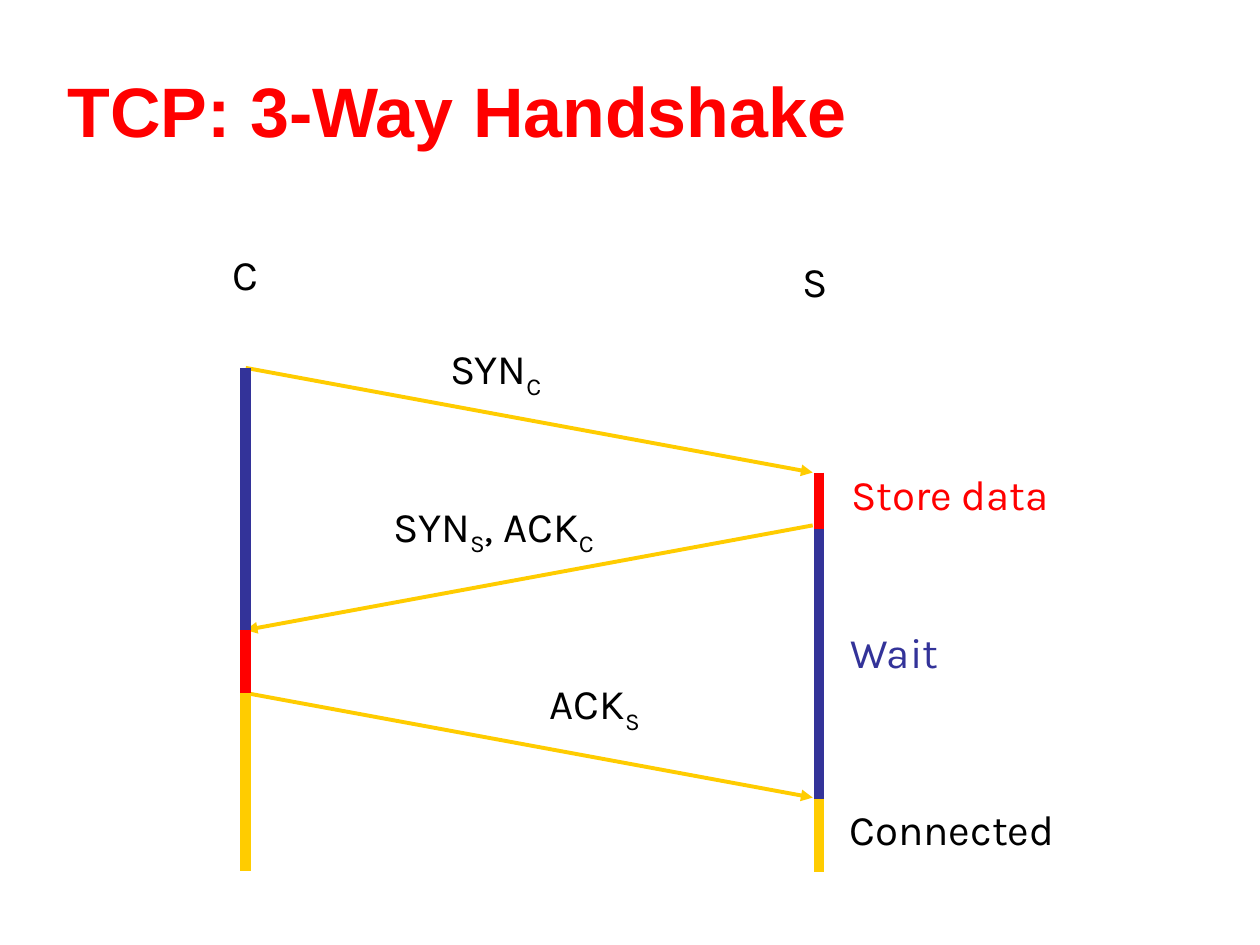
from dataclasses import dataclass

from lxml import etree
from pptx import Presentation
from pptx.dml.color import RGBColor
from pptx.enum.shapes import MSO_CONNECTOR, MSO_SHAPE
from pptx.enum.text import MSO_ANCHOR, MSO_AUTO_SIZE, PP_ALIGN
from pptx.oxml.ns import qn
from pptx.util import Inches, Pt

STRAIGHT = MSO_CONNECTOR.STRAIGHT
ROUNDED = MSO_SHAPE.ROUNDED_RECTANGLE
GROW = MSO_AUTO_SIZE.SHAPE_TO_FIT_TEXT
TOP, BOTTOM = MSO_ANCHOR.TOP, MSO_ANCHOR.BOTTOM
CENTER = PP_ALIGN.CENTER

RED = RGBColor(0xFF, 0x00, 0x00)
BLUE = RGBColor(0x33, 0x33, 0x99)
GOLD = RGBColor(0xFF, 0xCC, 0x00)
BLACK = RGBColor(0x00, 0x00, 0x00)

CLIENT_X, SERVER_X = 1.95, 6.5
ARROW_SERVER_X = 6.45


@dataclass(frozen=True)
class Line:
    x1: float
    y1: float
    x2: float
    y2: float
    color: RGBColor = GOLD
    width: float = 2.25
    arrow: bool = True


@dataclass(frozen=True)
class Label:
    """Text spans alternate between normal and subscript."""
    left: float
    top: float
    width: float
    height: float
    spans: tuple[str, ...]
    color: RGBColor = BLACK


def phase(x: float, start: float, end: float, color: RGBColor) -> Line:
    """One stage of a vertical timeline."""
    return Line(x, start, x, end, color, 6, False)


MESSAGES = [
    Line(CLIENT_X, 2.92, ARROW_SERVER_X, 3.75),
    Line(CLIENT_X, 5.5, ARROW_SERVER_X, 6.33),
    Line(ARROW_SERVER_X, 4.17, CLIENT_X, 5),
]

PHASES = [
    phase(SERVER_X, 4.17, 6.34, BLUE),
    phase(SERVER_X, 6.34, 6.92, GOLD),
    phase(CLIENT_X, 2.92, 5, BLUE),
    phase(CLIENT_X, 5.5, 6.91, GOLD),
    phase(CLIENT_X, 5, 5.5, RED),
    phase(SERVER_X, 3.75, 4.2, RED),
]

LABELS = [
    Label(1.75, 1.92, 0.39, 0.49, ("C",)),
    Label(6.27, 1.98, 0.36, 0.49, ("S",)),
    Label(3.47, 2.67, 0.93, 0.55, ("SYN", "C")),
    Label(3, 3.92, 1.84, 0.55, ("SYN", "S", ", ACK", "C")),
    Label(4.26, 5.33, 0.92, 0.55, ("ACK", "S")),
    Label(6.64, 3.67, 1.8, 0.49, ("Store data",), RED),
    Label(6.65, 4.92, 0.9, 0.49, ("Wait",), BLUE),
    Label(6.62, 6.33, 1.87, 0.49, ("Connected",)),
]


def draw_line(page, line: Line) -> None:
    connector = page.shapes.add_connector(
        STRAIGHT, Inches(line.x1), Inches(line.y1), Inches(line.x2), Inches(line.y2))
    connector.line.color.rgb = line.color
    connector.line.width = Pt(line.width)
    if line.arrow:
        outline = connector.line._get_or_add_ln()
        etree.SubElement(outline, qn("a:tailEnd"), type="triangle")
    etree.SubElement(connector._element.spPr, qn("a:effectLst"))


def draw_title(page, text: str) -> None:
    box = page.shapes.add_textbox(Inches(0.44), Inches(0.25), Inches(8.5), Inches(1))
    frame = box.text_frame
    frame.text = text
    frame.word_wrap = True
    frame.vertical_anchor = BOTTOM
    font = frame.paragraphs[0].runs[0].font
    font.name, font.size, font.bold = "Arial", Pt(40), True
    font.color.rgb = RED


def draw_label(page, label: Label) -> None:
    box = page.shapes.add_shape(ROUNDED, Inches(label.left), Inches(label.top),
                                Inches(label.width), Inches(label.height))
    box.adjustments[0] = 0
    box.shadow.inherit = False
    box.fill.background()
    box.line.fill.background()
    frame = box.text_frame
    frame.word_wrap = False
    frame.auto_size = GROW
    frame.vertical_anchor = TOP
    para = frame.paragraphs[0]
    para.alignment = CENTER
    for index, text in enumerate(label.spans):
        span = para.add_run()
        span.text = text
        span.font.name = "Karla"
        span.font.size = Pt(24)
        span.font.color.rgb = label.color
        if index % 2:
            span._r.get_or_add_rPr().set("baseline", "-25000")


def main() -> None:
    deck = Presentation()
    deck.slide_width, deck.slide_height = Inches(10), Inches(7.5)
    page = deck.slides.add_slide(deck.slide_layouts[6])

    draw_title(page, "TCP: 3-Way Handshake")
    for line in MESSAGES + PHASES:
        draw_line(page, line)
    for label in LABELS:
        draw_label(page, label)

    deck.save("out.pptx")


if __name__ == "__main__":
    main()
